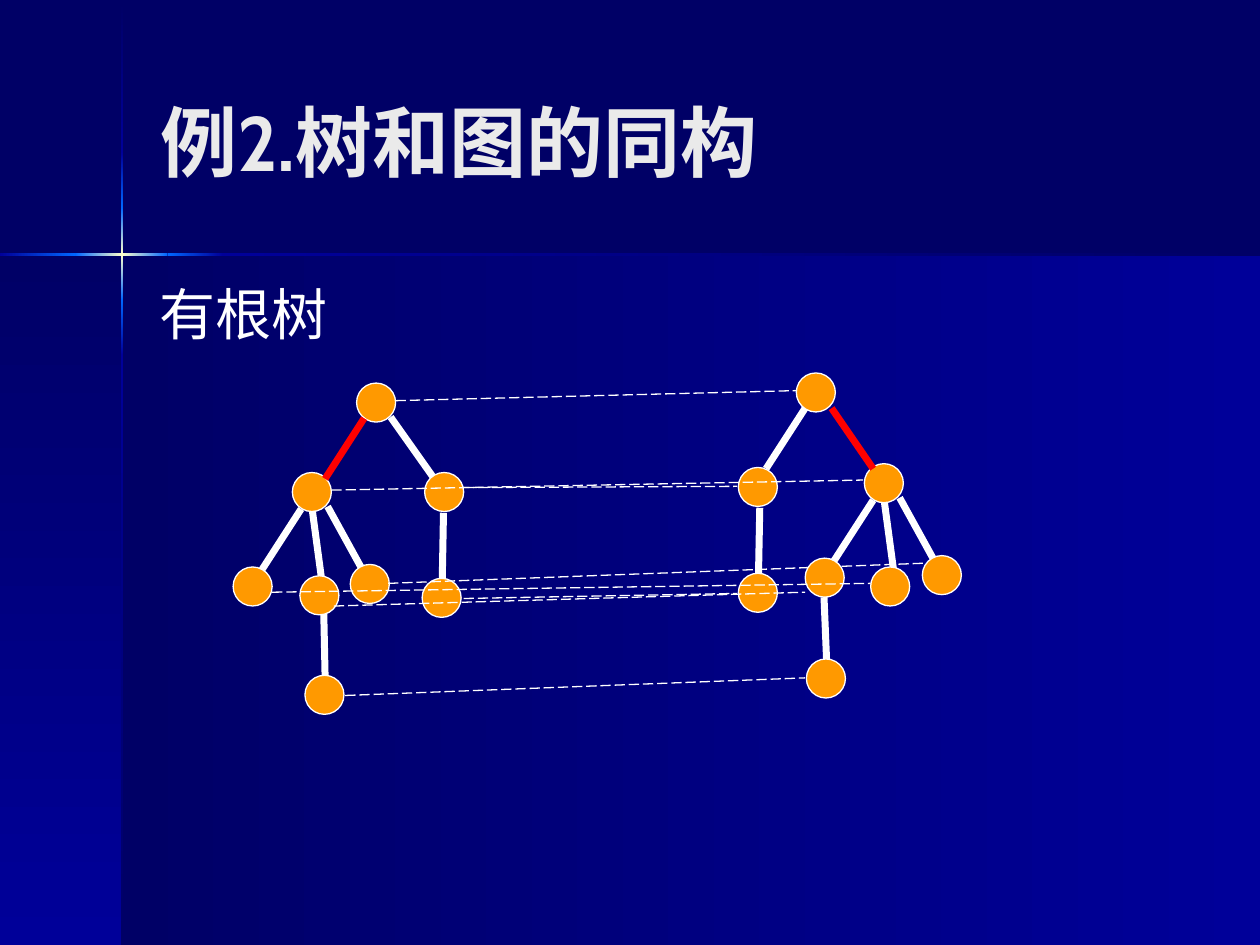
"""Build a slide that matches the nodes of two isomorphic rooted trees."""
from lxml.etree import SubElement
from pptx import Presentation
from pptx.dml.color import RGBColor
from pptx.enum.dml import MSO_LINE
from pptx.enum.shapes import MSO_CONNECTOR, MSO_SHAPE
from pptx.enum.text import MSO_ANCHOR, MSO_AUTO_SIZE, PP_ALIGN
from pptx.oxml.ns import qn
from pptx.util import Inches, Pt

NAVY = RGBColor(0x00, 0x00, 0x66)
BLUE = RGBColor(0x00, 0x00, 0x99)
BRIGHT = RGBColor(0x00, 0x66, 0xFF)
CREAM = RGBColor(0xFF, 0xFF, 0xCC)
WHITE = RGBColor(0xFF, 0xFF, 0xFF)
PALE = RGBColor(0xEA, 0xEA, 0xEA)
ORANGE = RGBColor(0xFF, 0x99, 0x00)
RED = RGBColor(0xFF, 0x00, 0x00)
NODE_SIZE = 0.31

presentation = Presentation()
presentation.slide_width = Inches(10)
presentation.slide_height = Inches(7.5)
slide = presentation.slides.add_slide(presentation.slide_layouts[5])
slide.background.fill.solid()
slide.background.fill.fore_color.rgb = NAVY


def add_line(start, end, color, width, dash=None):
    """Draw a straight line without a shadow."""
    points = [Inches(value) for value in (*start, *end)]
    connector = slide.shapes.add_connector(MSO_CONNECTOR.STRAIGHT, *points)
    connector.line.color.rgb = color
    connector.line.width = Pt(width)
    if dash:
        connector.line.dash_style = dash
    SubElement(connector.element.spPr, qn("a:effectLst"))


def format_text(shape, text, size, color, bold):
    """Write one left-aligned paragraph."""
    text_frame = shape.text_frame
    text_frame.text = text
    text_frame.word_wrap = True
    text_frame.auto_size = MSO_AUTO_SIZE.NONE
    paragraph = text_frame.paragraphs[0]
    paragraph.alignment = PP_ALIGN.LEFT
    font = paragraph.runs[0].font
    font.name = "Cabin"
    font.size = Pt(size)
    font.bold = bold
    font.color.rgb = color


gradient_bands = [
    (0.97, 2.02, 9.03, 5.48, NAVY, BLUE),
    (0, 2.02, 0.97, 5.48, NAVY, BLUE),
]
vertical_stops = [(0.01, NAVY), (1.21, BLUE), (1.65, BRIGHT), (2.02, CREAM),
                  (2.38, BRIGHT), (2.82, BLUE), (7.5, NAVY)]
horizontal_stops = [(0, BLUE), (0.6, BRIGHT), (0.97, CREAM),
                    (1.33, BRIGHT), (1.77, BLUE), (10, NAVY)]
for (top, first), (bottom, last) in zip(vertical_stops, vertical_stops[1:]):
    gradient_bands.append((0.96, top, 0.02, bottom - top, first, last))
for (left, first), (right, last) in zip(horizontal_stops, horizontal_stops[1:]):
    gradient_bands.append((left, 2.01, right - left, 0.02, first, last))

for *box, first, last in gradient_bands:
    left, top, width, height = box
    band = slide.shapes.add_shape(MSO_SHAPE.RECTANGLE, *[Inches(value) for value in box])
    band.shadow.inherit = False
    band.line.fill.background()
    band.fill.gradient()
    band.fill.gradient_angle = 270 if height > width else 0
    for stop, color in zip(band.fill.gradient_stops, (first, last)):
        stop.color.rgb = color

title = slide.shapes.title
title.element.getparent().append(title.element)
title.left, title.top = Inches(1.17), Inches(0.33)
title.width, title.height = Inches(8.25), Inches(1.57)
format_text(title, "例2.树和图的同构", 44, PALE, True)
title.text_frame.vertical_anchor = MSO_ANCHOR.MIDDLE

subtitle = slide.shapes.add_textbox(Inches(1.17), Inches(2.17), Inches(8.25), Inches(0.64))
format_text(subtitle, "有根树", 32, WHITE, False)
subtitle.text_frame.paragraphs[0].space_before = Pt(8)

tree_edges = [
    ((3.1, 3.31), (3.44, 3.79)),
    ((2.39, 4.04), (2.08, 4.52)),
    ((2.48, 4.06), (2.55, 4.58)),
    ((2.6, 4.02), (2.87, 4.51)),
    ((3.52, 4.07), (3.51, 4.61)),
    ((2.57, 4.87), (2.58, 5.36)),
    ((6.39, 3.24), (6.08, 3.72)),
    ((6.93, 3.97), (6.62, 4.45)),
    ((7.02, 3.99), (7.09, 4.51)),
    ((7.14, 3.95), (7.41, 4.44)),
    ((6.03, 4.03), (6.02, 4.57)),
    ((6.54, 4.74), (6.56, 5.23)),
]
for start, end in tree_edges:
    add_line(start, end, WHITE, 4)

matched_nodes = [
    ((2.83, 3.04), (6.32, 2.96), (3.14, 3.18), (6.32, 3.1)),
    ((3.37, 3.75), (5.86, 3.71), (3.68, 3.87), (5.85, 3.86)),
    ((3.35, 4.59), (5.86, 4.55), (3.68, 4.75), (5.85, 4.71)),
    ((2.32, 3.75), (6.86, 3.68), (2.63, 3.89), (6.85, 3.81)),
    ((2.78, 4.48), (7.32, 4.41), (3.08, 4.63), (7.34, 4.47)),
    ((2.38, 4.57), (6.39, 4.43), (2.65, 4.81), (6.39, 4.7)),
    ((1.85, 4.5), (6.91, 4.5), (2.16, 4.7), (6.91, 4.63)),
    ((2.42, 5.36), (6.4, 5.23), (2.74, 5.52), (6.39, 5.38)),
]
for left_node, right_node, start, end in matched_nodes:
    for left, top in (left_node, right_node):
        node = slide.shapes.add_shape(
            MSO_SHAPE.OVAL, Inches(left), Inches(top), Inches(NODE_SIZE), Inches(NODE_SIZE))
        node.shadow.inherit = False
        node.fill.solid()
        node.fill.fore_color.rgb = ORANGE
        node.line.color.rgb = WHITE
        node.line.width = Pt(0.75)
    add_line(start, end, WHITE, 0.75, MSO_LINE.LONG_DASH)

for start, end in [((2.89, 3.32), (2.58, 3.8)), ((6.6, 3.24), (6.93, 3.72))]:
    add_line(start, end, RED, 4)

presentation.save("out.pptx")
